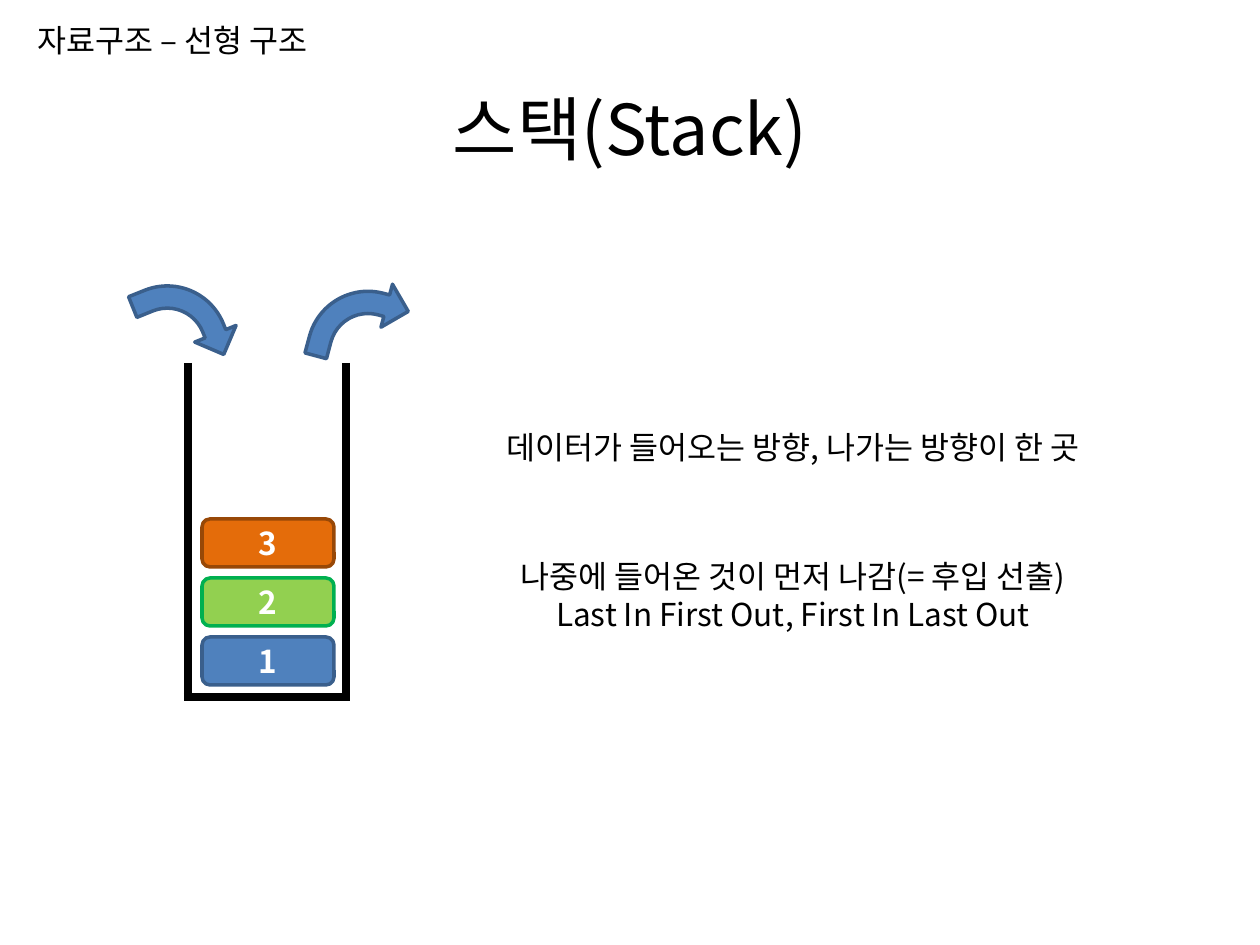
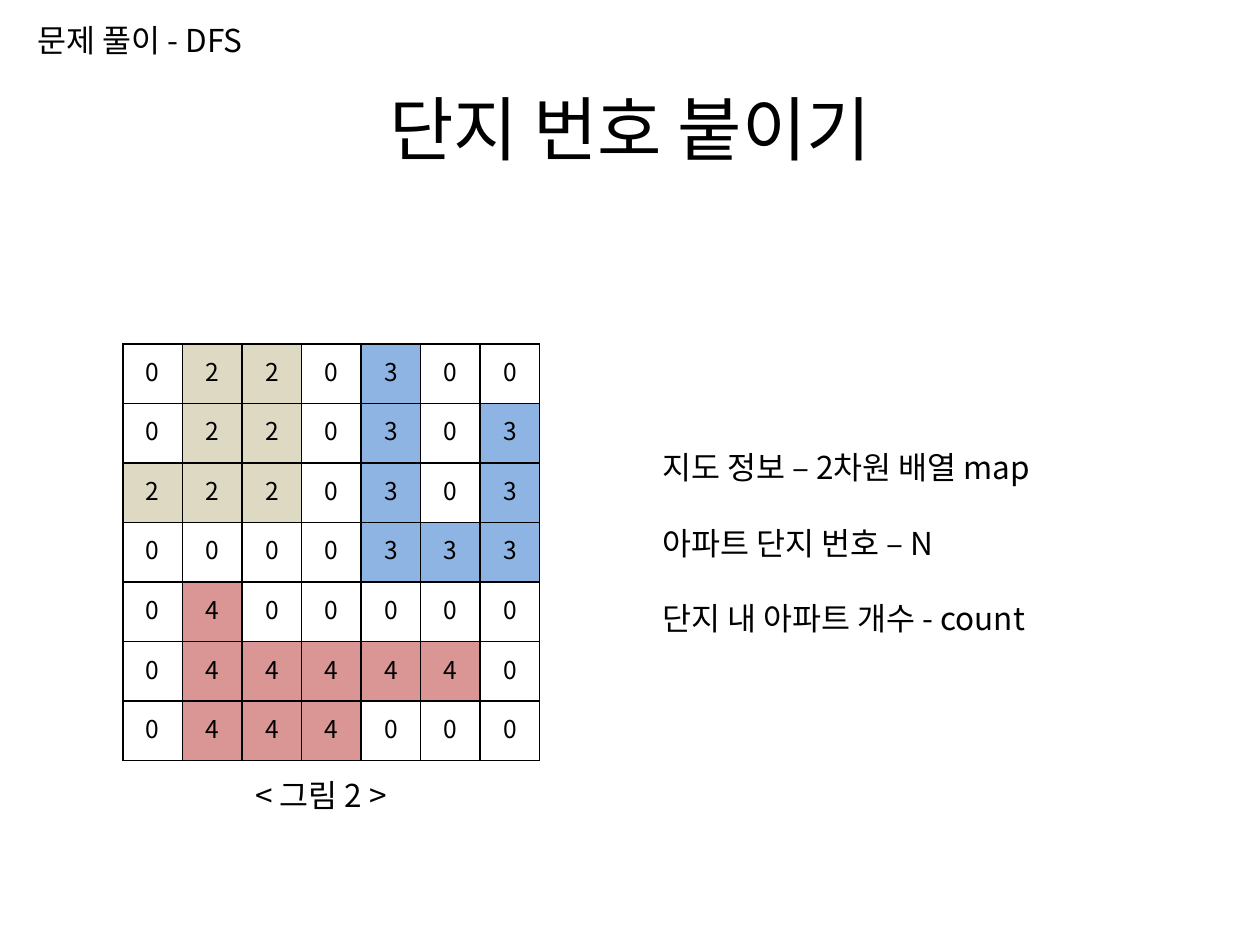
from lxml.etree import SubElement
from pptx import Presentation
from pptx.dml.color import RGBColor
from pptx.enum.shapes import MSO_CONNECTOR as LINK, MSO_SHAPE as SHAPE
from pptx.enum.text import MSO_ANCHOR as ANCHOR, PP_ALIGN as ALIGN
from pptx.oxml.ns import qn
from pptx.util import Emu, Pt

FONT = "Noto Sans CJK KR"
BLACK = RGBColor(0x00, 0x00, 0x00)
WHITE = RGBColor(0xFF, 0xFF, 0xFF)
BLUE = RGBColor(0x4F, 0x81, 0xBD)
NAVY = RGBColor(0x3A, 0x5F, 0x8C)
LIME = RGBColor(0x92, 0xD0, 0x50)
GREEN = RGBColor(0x00, 0xB0, 0x50)
ORANGE = RGBColor(0xE4, 0x6C, 0x0A)
BROWN = RGBColor(0x98, 0x48, 0x07)
SAND = RGBColor(0xDD, 0xD9, 0xC3)
SKY = RGBColor(0x8E, 0xB4, 0xE3)
ROSE = RGBColor(0xD9, 0x96, 0x94)

# Stack slide content
STACK = {"topic": "자료구조 – 선형 구조", "title": "스택(Stack)"}
RULES = [
    ((449, 422, 688, 50), ["데이터가 들어오는 방향, 나가는 방향이 한 곳"]),
    ((449, 551, 688, 89), ["나중에 들어온 것이 먼저 나감(= 후입 선출)",
                           "Last In First Out, First In Last Out"]),
]
WALLS = [(188, 363, 188, 701), (346, 363, 346, 701), (184, 697, 348, 697)]
ARROWS = [(142, 68.1), (315, 15)]  # left, turn
ITEMS = [("1", BLUE, NAVY), ("2", LIME, GREEN), ("3", ORANGE, BROWN)]

# Map slide content
MAP = {"topic": "문제 풀이 - DFS", "title": "단지 번호 붙이기"}
GRID = ["0220300", "0220303", "2220303", "0000333",
        "0400000", "0444440", "0444000"]
TINTS = {"2": SAND, "3": SKY, "4": ROSE}
CAPTION = "< 그림 2 >"
NOTES = ["지도 정보 – 2차원 배열 map", "아파트 단지 번호 – N",
         "단지 내 아파트 개수 - count"]


def px(*nums):
    return [Emu(round(n * 914400 / 126)) for n in nums]


def write(frame, lines, size=18, color=BLACK, bold=False,
          align=ALIGN.LEFT, gap=0):
    frame.word_wrap = True
    for i, line in enumerate(lines):
        para = frame.paragraphs[0] if i == 0 else frame.add_paragraph()
        para.alignment = align
        para.line_spacing = Pt(size * 1.2)
        if i and gap:
            para.space_before = Pt(gap)
        run = para.add_run()
        run.text = line
        font = run.font
        font.name, font.size, font.bold = FONT, Pt(size), bold
        font.color.rgb = color
        SubElement(font._element, qn("a:ea"), typeface=FONT)


def label(slide, box, lines, anchor=ANCHOR.TOP, **style):
    frame = slide.shapes.add_textbox(*px(*box)).text_frame
    frame.vertical_anchor = anchor
    write(frame, lines, **style)


def shape(slide, kind, box, fill, edge):
    part = slide.shapes.add_shape(kind, *px(*box))
    part.shadow.inherit = False
    part.fill.solid()
    part.fill.fore_color.rgb = fill
    part.line.color.rgb = edge
    part.line.width = Pt(2)
    return part


def wall(slide, ends):
    line = slide.shapes.add_connector(LINK.STRAIGHT, *px(*ends))
    line.line.color.rgb = BLACK
    line.line.width = Pt(4.5)
    SubElement(line._element.spPr, qn("a:effectLst"))


def border(cell):
    props = cell._tc.get_or_add_tcPr()
    for i, side in enumerate(("lnL", "lnR", "lnT", "lnB")):
        edge = props.makeelement(qn("a:" + side), {"w": str(Pt(1))})
        fill = SubElement(edge, qn("a:solidFill"))
        SubElement(fill, qn("a:srgbClr"), val=str(BLACK))
        props.insert(i, edge)


def page(deck, topic, title):
    slide = deck.slides.add_slide(deck.slide_layouts[6])
    label(slide, (63, 48, 1134, 158), [title], anchor=ANCHOR.MIDDLE,
          size=40, align=ALIGN.CENTER)
    label(slide, (25, 15, 357, 50), [topic])
    return slide


def draw_stack(deck):
    slide = page(deck, **STACK)
    for ends in WALLS:
        wall(slide, ends)
    for left, turn in ARROWS:
        arrow = shape(slide, SHAPE.BENT_ARROW, (left, 277, 89, 89), BLUE, NAVY)
        arrow.rotation = turn
        for i, value in enumerate((0.25, 0.25, 0.25, 0.68)):
            arrow.adjustments[i] = value
    # Items pile up from the bottom
    for i, (name, fill, edge) in enumerate(ITEMS):
        box = (202, 637 - 59 * i, 132, 48)
        item = shape(slide, SHAPE.ROUNDED_RECTANGLE, box, fill, edge)
        item.text_frame.vertical_anchor = ANCHOR.MIDDLE
        write(item.text_frame, [name], color=WHITE, bold=True,
              align=ALIGN.CENTER)
    for box, lines in RULES:
        label(slide, box, lines, align=ALIGN.CENTER)


def draw_map(deck):
    slide = page(deck, **MAP)
    count = len(GRID)
    table = slide.shapes.add_table(count, count,
                                   *px(123, 344, 417, 417)).table
    table.first_row = table.horz_banding = False
    side = px(417 / count)[0]
    for r, row in enumerate(GRID):
        table.rows[r].height = table.columns[r].width = side
        for c, digit in enumerate(row):
            cell = table.cell(r, c)
            cell.vertical_anchor = ANCHOR.MIDDLE
            cell.margin_left, cell.margin_right = px(10, 10)
            cell.margin_top, cell.margin_bottom = px(5, 5)
            if digit in TINTS:
                cell.fill.solid()
                cell.fill.fore_color.rgb = TINTS[digit]
            else:
                cell.fill.background()
            border(cell)
            write(cell.text_frame, [digit], size=14, align=ALIGN.CENTER)
    label(slide, (243, 770, 189, 50), [CAPTION])
    label(slide, (650, 442, 456, 204), NOTES, gap=21.6)


def main():
    deck = Presentation()
    deck.slide_width, deck.slide_height = px(1260, 945)
    draw_stack(deck)
    draw_map(deck)
    deck.save("out.pptx")


if __name__ == "__main__":
    main()
